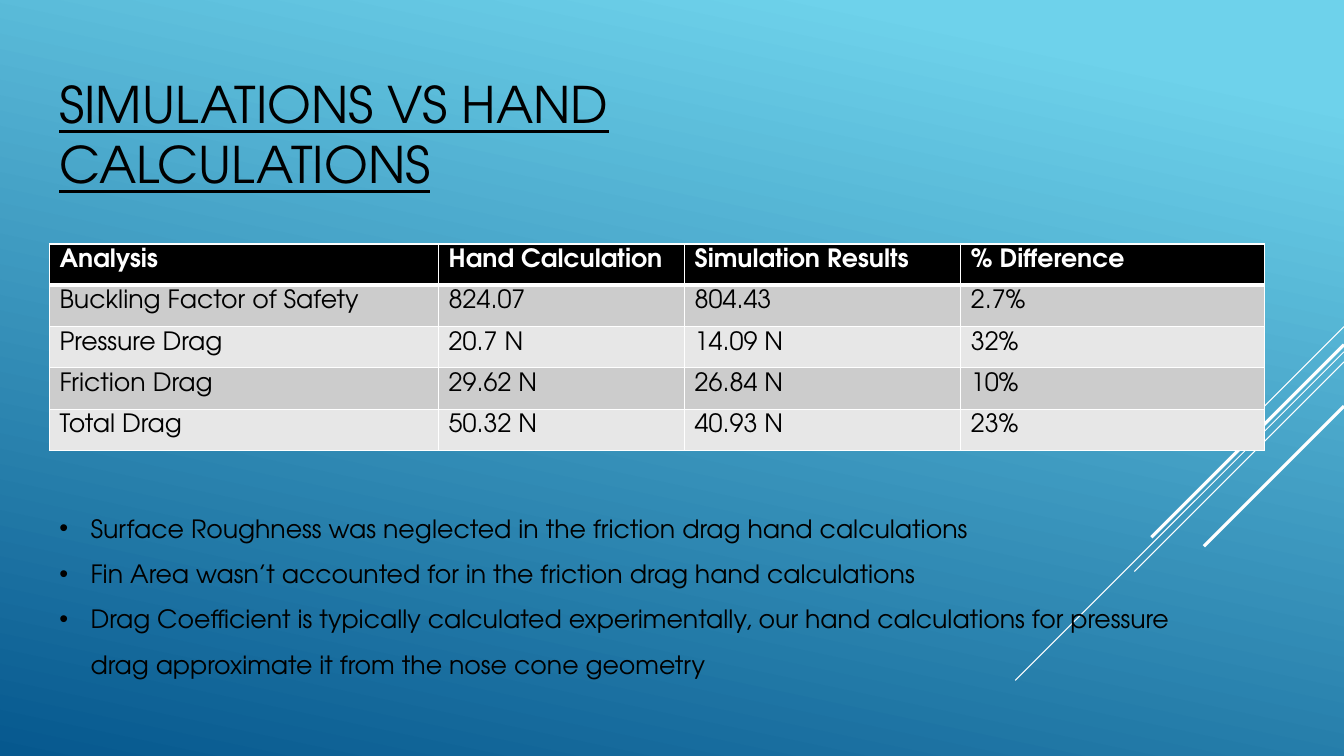
from dataclasses import dataclass

from lxml.etree import SubElement as Sub
from pptx import Presentation
from pptx.dml.color import RGBColor
from pptx.enum.shapes import MSO_CONNECTOR
from pptx.enum.text import MSO_ANCHOR, MSO_AUTO_SIZE
from pptx.oxml.ns import qn
from pptx.util import Inches, Pt

FONT = "TeX Gyre Adventor"
BLACK = RGBColor(0x00, 0x00, 0x00)
WHITE = RGBColor(0xFF, 0xFF, 0xFF)
SKY = RGBColor(0x6E, 0xD2, 0xEB)
NAVY = RGBColor(0x06, 0x58, 0x8E)
GREY = RGBColor(0xCC, 0xCC, 0xCC)
PALE = RGBColor(0xE7, 0xE7, 0xE7)

WIDTH, LEFT = 13.33, 0.49
COLS = (3.86, 2.44, 2.74, 3.01)
ROW = 0.41
ROWS = (
    ("Analysis", "Hand Calculation", "Simulation Results", "% Difference"),
    ("Buckling Factor of Safety", "824.07", "804.43", "2.7%"),
    ("Pressure Drag", "20.7 N", "14.09 N", "32%"),
    ("Friction Drag", "29.62 N", "26.84 N", "10%"),
    ("Total Drag", "50.32 N", "40.93 N", "23%"),
)
NOTES = (
    "Surface Roughness was neglected in the friction drag hand calculations",
    "Fin Area wasn’t accounted for in the friction drag hand calculations",
    "Drag Coefficient is typically calculated experimentally, our hand "
    "calculations for pressure drag approximate it from the nose cone geometry",
)


@dataclass
class Streak:
    """A diagonal that runs down and left from the right edge."""
    top: float
    run: float
    weight: float = 0.75


STREAKS = (
    Streak(3.24, 1.0),
    Streak(3.49, 3.26),
    Streak(3.59, 2.08),
    Streak(3.42, 1.91, 2.25),
    Streak(4.03, 1.39, 2.25),
)


def style(para, size: float, color: RGBColor, bold: bool = False) -> None:
    for run in para.runs:
        font = run.font
        font.name, font.size, font.bold = FONT, Pt(size), bold
        font.color.rgb = color


def paint(slide) -> None:
    """Fill the background with the sky gradient."""
    fill = slide.background.fill
    fill.gradient()
    fill.gradient_angle = 360 - 102
    for stop, place, color in zip(fill.gradient_stops, (0.1, 1), (SKY, NAVY)):
        stop.position = place
        stop.color.rgb = color


def draw(slide, streak: Streak) -> None:
    line = slide.shapes.add_connector(
        MSO_CONNECTOR.STRAIGHT, Inches(WIDTH), Inches(streak.top),
        Inches(WIDTH - streak.run), Inches(streak.top + streak.run))
    line.line.color.rgb = WHITE
    line.line.width = Pt(streak.weight)
    Sub(line._element.spPr, qn("a:effectLst"))


def add_box(slide, top: float, width: float, height: float):
    box = slide.shapes.add_textbox(
        Inches(LEFT), Inches(top), Inches(width), Inches(height))
    box.text_frame.word_wrap = True
    return box.text_frame


def add_title(slide) -> None:
    frame = add_box(slide, 0.5, 9.33, 1.65)
    frame.vertical_anchor = MSO_ANCHOR.MIDDLE
    frame.text = "SIMULATIONS VS HAND CALCULATIONS"
    para = frame.paragraphs[0]
    style(para, 36, BLACK)
    para.runs[0].font.underline = True


def edge(cell, side: str, weight: float) -> None:
    line = Sub(cell._tc.get_or_add_tcPr(), qn(f"a:ln{side}"), w=str(Pt(weight)))
    fill = Sub(line, qn("a:solidFill"))
    Sub(fill, qn("a:srgbClr"), val=str(WHITE))


def add_grid(slide) -> None:
    grid = slide.shapes.add_table(
        len(ROWS), len(COLS), Inches(LEFT), Inches(2.42),
        Inches(sum(COLS)), Inches(ROW * len(ROWS))).table
    for col, width in zip(grid.columns, COLS):
        col.width = Inches(width)
    for r, row in enumerate(ROWS):
        grid.rows[r].height = Inches(ROW)
        head = r == 0
        for c, text in enumerate(row):
            cell = grid.cell(r, c)
            cell.text_frame.text = text
            style(cell.text_frame.paragraphs[0], 18,
                  WHITE if head else BLACK, head)
            for side in "LRTB":
                thick = (r, side) in ((0, "B"), (1, "T"))
                edge(cell, side, 3 if thick else 1)
            cell.fill.solid()
            cell.fill.fore_color.rgb = (
                BLACK if head else GREY if r % 2 else PALE)


def add_notes(slide) -> None:
    frame = add_box(slide, 4.89, 11.63, 2.22)
    frame.auto_size = MSO_AUTO_SIZE.SHAPE_TO_FIT_TEXT
    frame.text = "\n".join(NOTES)
    for para in frame.paragraphs:
        para.line_spacing = 1.5
        props = para._p.get_or_add_pPr()
        props.set("marL", str(Inches(0.31)))
        props.set("indent", str(-Inches(0.31)))
        Sub(props, qn("a:buFont"), typeface="Arial")
        Sub(props, qn("a:buChar"), char="•")
        style(para, 18, BLACK)


def main() -> None:
    deck = Presentation()
    deck.slide_width, deck.slide_height = Inches(WIDTH), Inches(7.5)
    slide = deck.slides.add_slide(deck.slide_layouts[6])
    paint(slide)
    for streak in STREAKS:
        draw(slide, streak)
    add_title(slide)
    add_grid(slide)
    add_notes(slide)
    deck.save("out.pptx")


if __name__ == "__main__":
    main()
